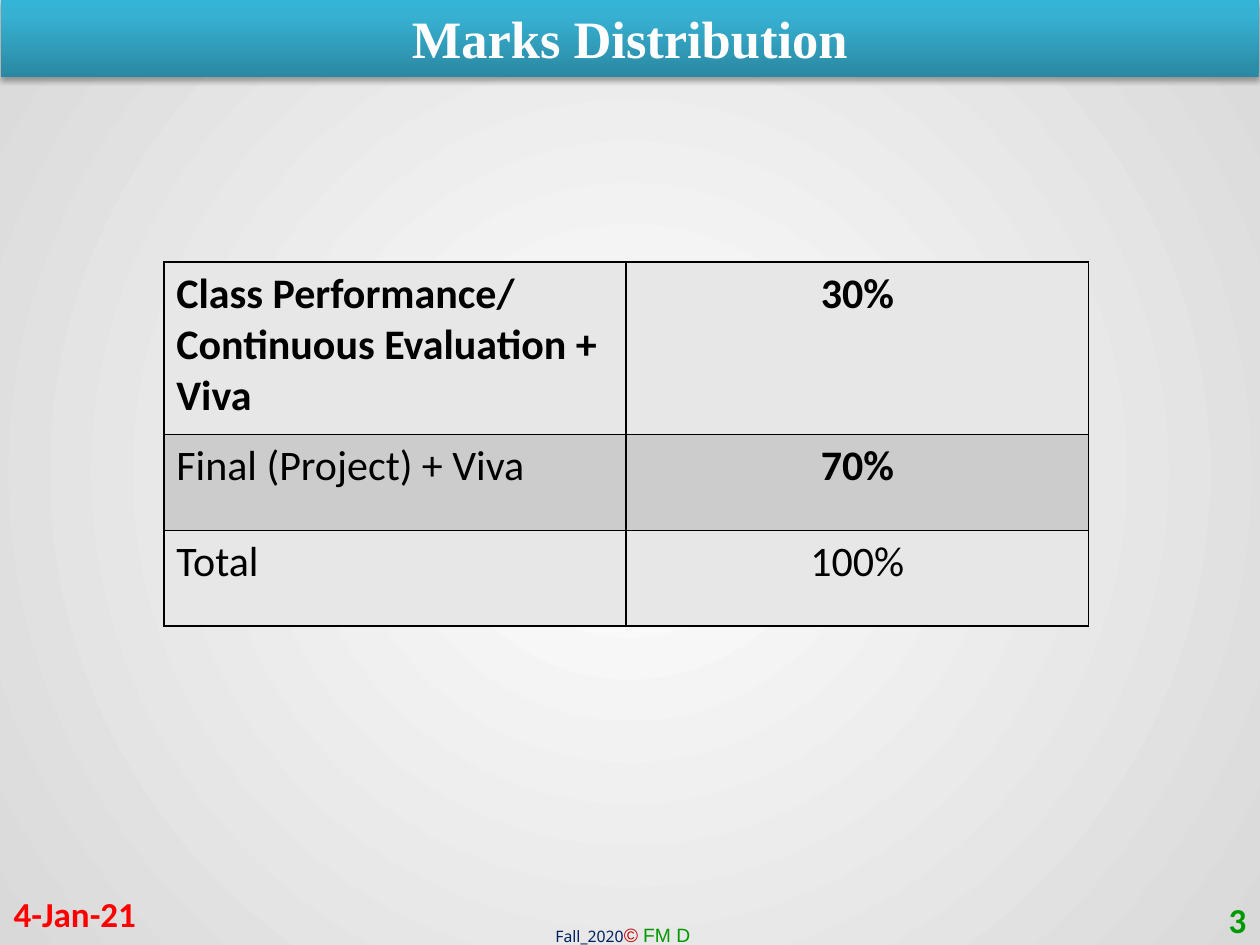
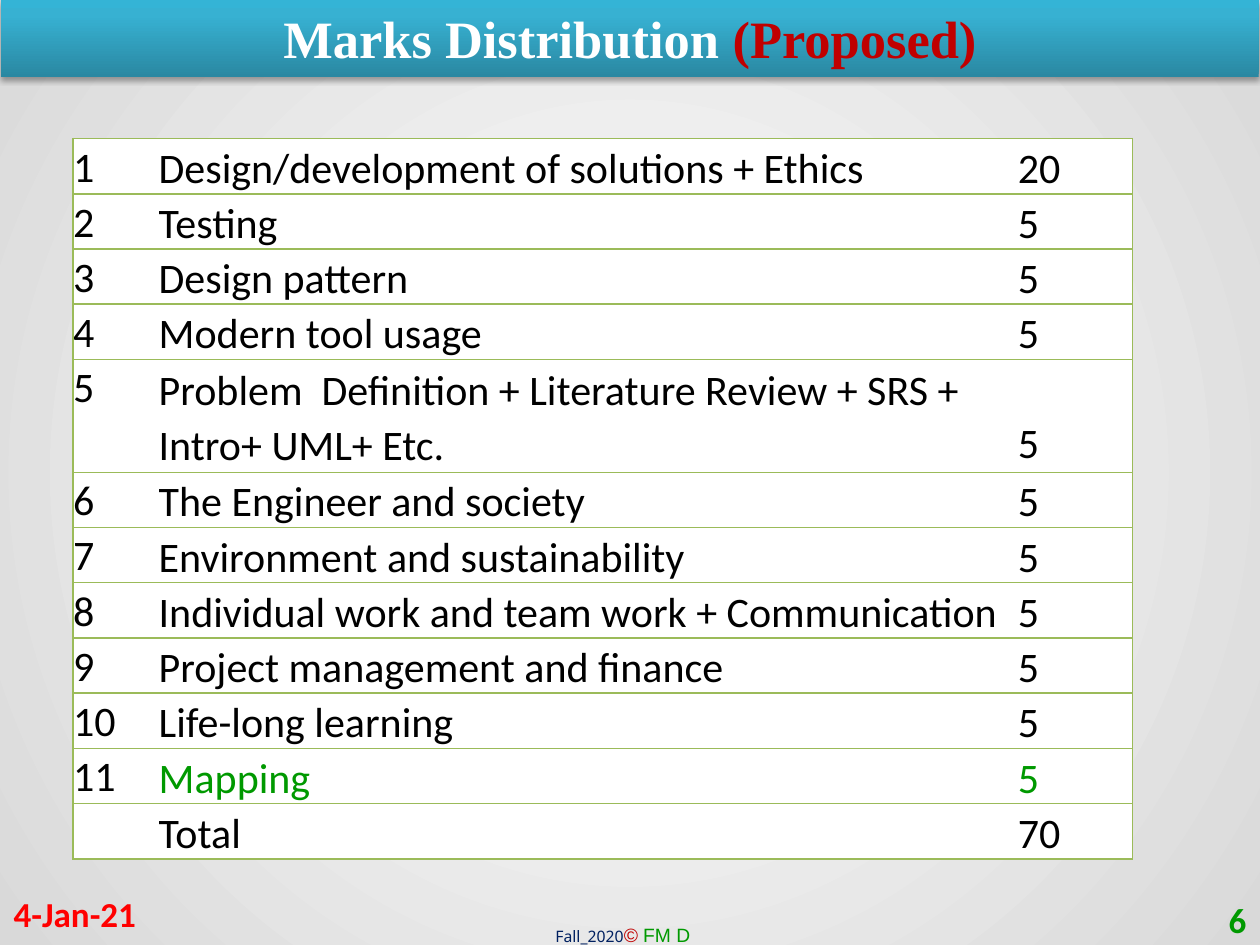
from dataclasses import dataclass, replace

from lxml.etree import SubElement
from pptx import Presentation
from pptx.dml.color import RGBColor
from pptx.enum.shapes import MSO_SHAPE as Shape
from pptx.enum.text import MSO_ANCHOR as Anchor, PP_ALIGN as Align
from pptx.oxml import parse_xml
from pptx.oxml.ns import nsdecls, qn
from pptx.util import Inches, Pt

BLACK, WHITE, GREEN, DARK_RED = "000000", "FFFFFF", "009900", "C00000"
OLIVE, LIGHT_GREY, MID_GREY = "9BBB59", "E7E7E7", "CCCCCC"
PAGE_STOPS = [(0, WHITE), (100, "D9D9D9")]
BAND_STOPS = [(0, "2A88A2"), (80, "37B1D2"), (100, "34B4D6")]
FROM_CENTRE = ('<a:path path="circle"><a:fillToRect l="50000" t="50000" '
               'r="50000" b="50000"/></a:path>')
UPWARD = '<a:lin ang="16200000" scaled="0"/>'


@dataclass(frozen=True)
class Style:
    """Look of a stretch of text."""
    size: int
    face: str = "Calibri"
    color: str = BLACK
    bold: bool = False
    italic: bool = False


TITLE = Style(30, "Times New Roman", WHITE, bold=True)
DATE = Style(20, color="FF0000", bold=True)
NUMBER = replace(DATE, color=GREEN)
BODY = Style(24)
STRONG = replace(BODY, bold=True)
MARK = Style(11, "Arial", DARK_RED, italic=True)
CREDIT = [
    ("Fall_2020", Style(9, "Noto Sans", "002060")),
    ("© ", MARK),
    ("FM D", replace(MARK, color=GREEN, italic=False)),
]

WEIGHTS = [
    ("Class Performance/ Continuous Evaluation + Viva", "30%", STRONG, STRONG, LIGHT_GREY),
    ("Final (Project) + Viva", "70%", BODY, STRONG, MID_GREY),
    ("Total", "100%", BODY, BODY, LIGHT_GREY),
]
CRITERIA = [
    ("Design/development of solutions + Ethics", 20),
    ("Testing", 5),
    ("Design pattern", 5),
    ("Modern tool usage", 5),
    ("Problem  Definition + Literature Review + SRS + Intro+ UML+ Etc.", 5),
    ("The Engineer and society", 5),
    ("Environment and sustainability", 5),
    ("Individual work and team work + Communication", 5),
    ("Project management and finance", 5),
    ("Life-long learning", 5),
    ("Mapping", 5),
]


def rgb(value):
    """Turn a hex string into a colour."""
    return RGBColor.from_string(value)


def set_gradient(fill, element, stops, direction):
    """Give the fill inside an element a gradient with the given stops."""
    fill.gradient()
    marks = "".join(f'<a:gs pos="{place * 1000}"><a:srgbClr val="{color}"/></a:gs>'
                    for place, color in stops)
    gradient = parse_xml(f'<a:gradFill {nsdecls("a")} rotWithShape="1">'
                         f'<a:gsLst>{marks}</a:gsLst>{direction}</a:gradFill>')
    current = next(element.iter(qn("a:gradFill")))
    current.getparent().replace(current, gradient)


def set_font(font, style):
    """Apply a style to a font."""
    font.size, font.name = Pt(style.size), style.face
    font.bold, font.italic = style.bold, style.italic
    font.color.rgb = rgb(style.color)


def write(frame, spans, align=Align.LEFT):
    """Write styled spans into the first paragraph of a frame."""
    para = frame.paragraphs[0]
    para.alignment = align
    uniform = len({style for _, style in spans}) == 1
    if uniform:
        set_font(para.font, spans[0][1])
    for text, style in spans:
        span = para.add_run()
        span.text = text
        if not uniform:
            set_font(span.font, style)
    return para


def add_text(page, area, spans, align=Align.LEFT, anchor=Anchor.MIDDLE, wrap=True):
    """Add a text box."""
    frame = page.shapes.add_textbox(*map(Inches, area)).text_frame
    frame.word_wrap, frame.vertical_anchor = wrap, anchor
    write(frame, spans, align)


def add_title_band(page, spans):
    """Add the shaded band that carries the title."""
    band = page.shapes.add_shape(Shape.RECTANGLE, *map(Inches, (0.01, 0, 9.98, 0.61)))
    set_gradient(band.fill, band.element, BAND_STOPS, UPWARD)
    band.line.fill.background()
    band.shadow.inherit = False
    effects = next(band.element.iter(qn("a:effectLst")))
    shadow = SubElement(effects, qn("a:outerShdw"), blurRad=str(Pt(3.1)),
                        dist=str(Pt(1.8)), dir="5400000", rotWithShape="0")
    color = SubElement(shadow, qn("a:srgbClr"), val=BLACK)
    SubElement(color, qn("a:alpha"), val="35000")
    band.text_frame.vertical_anchor = Anchor.TOP
    write(band.text_frame, spans, Align.CENTER)


def add_page(deck, number, title):
    """Add a page with the shared background, band and footers."""
    page = deck.slides.add_slide(deck.slide_layouts[6])
    set_gradient(page.background.fill, page.element, PAGE_STOPS, FROM_CENTRE)
    add_text(page, (4.31, 7.28, 1.33, 0.29), CREDIT, anchor=Anchor.TOP, wrap=False)
    add_title_band(page, title)
    add_text(page, (0.01, 7.05, 2.33, 0.4), [("4-Jan-21", DATE)])
    add_text(page, (7.66, 7.1, 2.33, 0.4), [(str(number), NUMBER)], Align.RIGHT)
    return page


def add_grid(page, left, top, widths, heights):
    """Add a plain table with the given column widths and row heights."""
    area = map(Inches, (left, top, sum(widths), sum(heights)))
    grid = page.shapes.add_table(len(heights), len(widths), *area).table
    grid.first_row = grid.horz_banding = False
    for column, width in zip(grid.columns, widths):
        column.width = Inches(width)
    for row, height in zip(grid.rows, heights):
        row.height = Inches(height)
    return grid


def style_cell(cell, fill, border, sides="LRTB"):
    """Fill a cell and draw the named sides of its border."""
    cell.fill.solid()
    cell.fill.fore_color.rgb = rgb(fill)
    for index, side in enumerate("LRTB"):
        paint = (f'<a:solidFill><a:srgbClr val="{border}"/></a:solidFill>'
                 if side in sides else "<a:noFill/>")
        line = parse_xml(f'<a:ln{side} {nsdecls("a")} w="{Pt(1)}">{paint}</a:ln{side}>')
        cell._tc.get_or_add_tcPr().insert(index, line)


def set_margins(cell, left, top, right, bottom):
    """Set the four inner margins of a cell."""
    cell.margin_left, cell.margin_top = Inches(left), Inches(top)
    cell.margin_right, cell.margin_bottom = Inches(right), Inches(bottom)


def add_weights_table(page):
    """Add the table of overall weights."""
    grid = add_grid(page, 1.3, 2.08, [3.67, 3.67], [1.37, 0.76, 0.76])
    for row, (label, share, label_style, share_style, fill) in enumerate(WEIGHTS):
        write(grid.cell(row, 0).text_frame, [(label, label_style)])
        write(grid.cell(row, 1).text_frame, [(share, share_style)], Align.CENTER)
        for column in range(2):
            style_cell(grid.cell(row, column), fill, BLACK)


def add_criteria_table(page):
    """Add the numbered table of criteria with their total."""
    rows = [(str(number), label, str(marks))
            for number, (label, marks) in enumerate(CRITERIA, 1)]
    rows.append(("", "Total", str(sum(marks for _, marks in CRITERIA))))
    heights = [0.82 if len(label) > 50 else 0.39 for _, label, _ in rows]
    grid = add_grid(page, 0.58, 1.1, [0.67, 6.82, 0.92], heights)
    for row, texts in enumerate(rows):
        margins = (0.01, 0.02, 0.01, 0.02) if heights[row] > 0.5 else (0.01, 0.01, 0.01, 0)
        for column, text in enumerate(texts):
            cell = grid.cell(row, column)
            style_cell(cell, WHITE, OLIVE, ("LTB", "TB", "RTB")[column])
            set_margins(cell, *(margins if column else (0, 0, 0, 0)))
            cell.vertical_anchor = Anchor.BOTTOM if column else Anchor.TOP
            if text:
                color = GREEN if column and texts[1] == "Mapping" else BLACK
                para = write(cell.text_frame, [(text, replace(BODY, color=color))])
                para.line_spacing = 1.07


def main():
    """Build and save the deck."""
    deck = Presentation()
    deck.slide_width, deck.slide_height = Inches(10), Inches(7.5)
    add_weights_table(add_page(deck, 3, [("Marks Distribution", TITLE)]))
    proposed = [("Marks Distribution ", TITLE),
                ("(Proposed)", replace(TITLE, color=DARK_RED))]
    add_criteria_table(add_page(deck, 6, proposed))
    deck.save("out.pptx")


if __name__ == "__main__":
    main()
